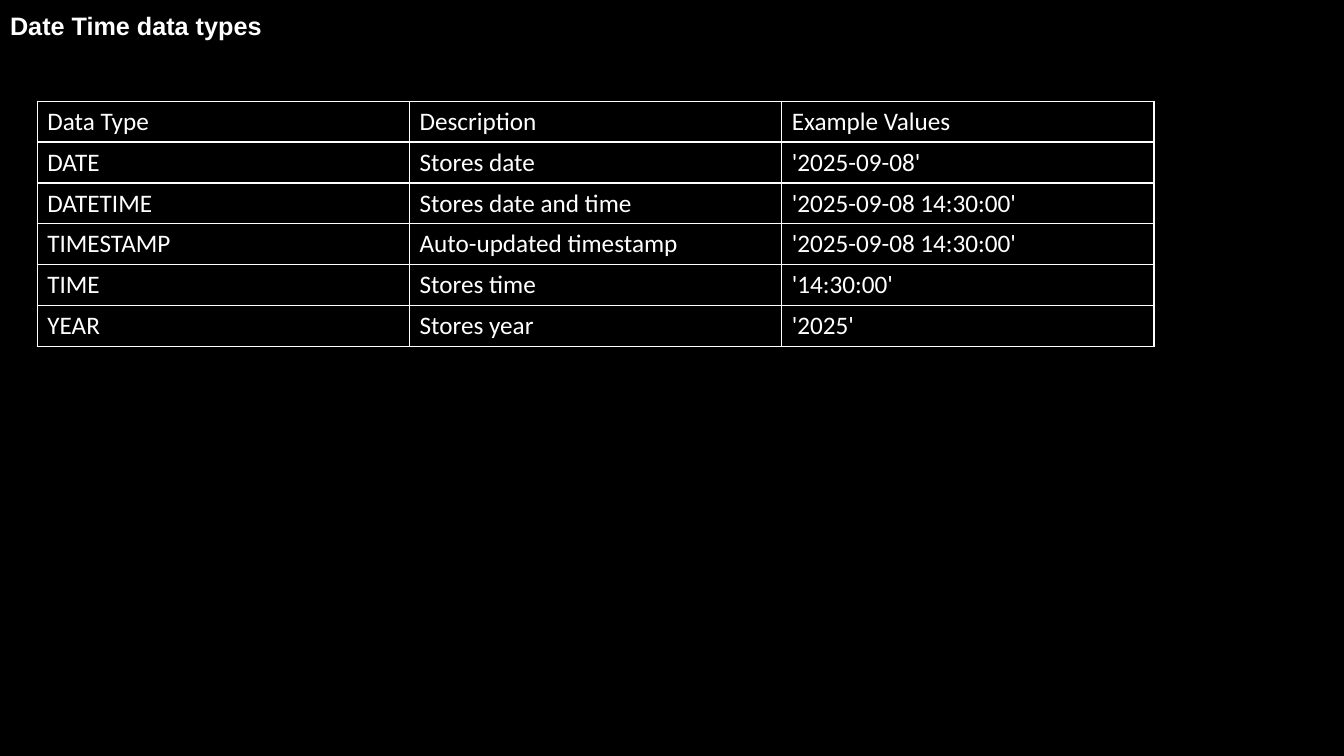
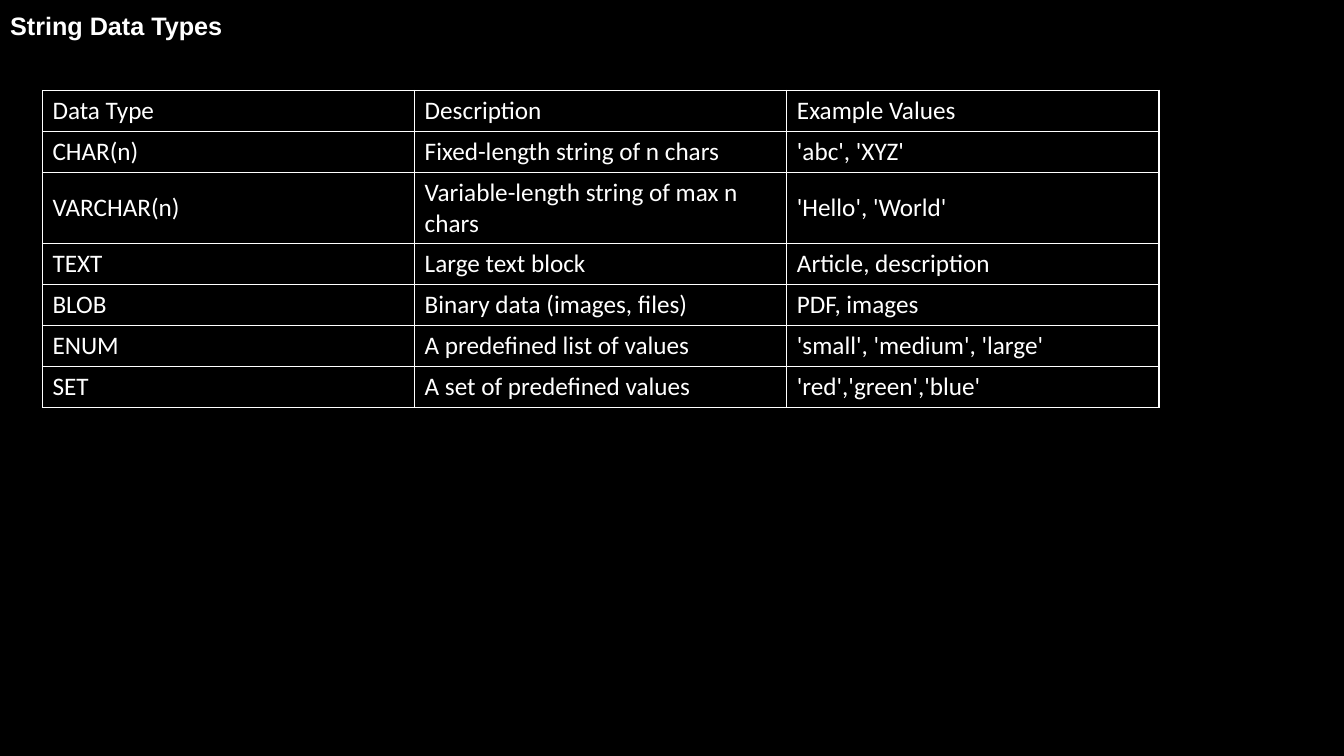
from pptx import Presentation
from pptx.dml.color import RGBColor
from pptx.enum.text import MSO_ANCHOR as Anchor, MSO_AUTO_SIZE as AutoSize, PP_ALIGN as Align
from pptx.oxml.ns import qn
from pptx.util import Cm, Pt
from lxml.etree import SubElement

COLOURS = {"background": "000000", "text": "FFFFFF", "border": "FFFFFF"}
TITLE_FONT, TABLE_FONT = "Arial", "Calibri"
COLUMN_WIDTH, LINE_ROW, WRAPPED_ROW = Cm(9.38), Cm(1.02), Cm(1.78)
HEADINGS = ("Data Type", "Description", "Example Values")

# Title, left and top of the table, and its rows
TOPICS = [
    ("Date Time data types", Cm(0.94), Cm(2.55), [
        ("DATE", "Stores date", "'2025-09-08'"),
        ("DATETIME", "Stores date and time", "'2025-09-08 14:30:00'"),
        ("TIMESTAMP", "Auto-updated timestamp", "'2025-09-08 14:30:00'"),
        ("TIME", "Stores time", "'14:30:00'"),
        ("YEAR", "Stores year", "'2025'"),
    ]),
    ("String Data Types", Cm(1.07), Cm(2.28), [
        ("CHAR(n)", "Fixed-length string of n chars", "'abc', 'XYZ'"),
        ("VARCHAR(n)", "Variable-length string of max n chars", "'Hello', 'World'"),
        ("TEXT", "Large text block", "Article, description"),
        ("BLOB", "Binary data (images, files)", "PDF, images"),
        ("ENUM", "A predefined list of values", "'small', 'medium', 'large'"),
        ("SET", "A set of predefined values", "'red','green','blue'"),
    ]),
]


def add_text(frame, text, font_name, bold=False):
    run = frame.paragraphs[0].add_run()
    run.text = text
    run.font.name, run.font.size, run.font.bold = font_name, Pt(18), bold
    run.font.color.rgb = RGBColor.from_string(COLOURS["text"])


def add_borders(cell):
    properties = cell._tc.get_or_add_tcPr()
    for side in ("a:lnL", "a:lnR", "a:lnT", "a:lnB"):
        line = SubElement(properties, qn(side), w=str(Pt(1)))
        fill = SubElement(line, qn("a:solidFill"))
        SubElement(fill, qn("a:srgbClr"), val=COLOURS["border"])


deck = Presentation()
deck.slide_width, deck.slide_height = Cm(33.87), Cm(19.05)

# Shared background and title place
background = deck.slide_master.background.fill
background.solid()
background.fore_color.rgb = RGBColor.from_string(COLOURS["background"])
title_only = deck.slide_layouts[5]
heading = title_only.placeholders[0]
heading.left, heading.top, heading.width, heading.height = 0, 0, Cm(12), Cm(1.3)

for topic, left, top, data_types in TOPICS:
    slide = deck.slides.add_slide(title_only)

    # Title
    title = slide.shapes.title.text_frame
    title.auto_size = AutoSize.NONE
    title.vertical_anchor = Anchor.MIDDLE
    title.paragraphs[0].alignment = Align.LEFT
    add_text(title, topic, TITLE_FONT, bold=True)

    # Table of data types
    rows = [HEADINGS, *data_types]
    types_table = slide.shapes.add_table(
        len(rows), len(HEADINGS), left, top,
        COLUMN_WIDTH * len(HEADINGS), LINE_ROW * len(rows)).table
    types_table.first_row = types_table.horz_banding = False
    for column in types_table.columns:
        column.width = COLUMN_WIDTH
    for row, texts in zip(types_table.rows, rows):
        row.height = WRAPPED_ROW if len(texts[1]) > 35 else LINE_ROW
        for cell, text in zip(row.cells, texts):
            add_borders(cell)
            cell.fill.background()
            cell.vertical_anchor = Anchor.MIDDLE
            add_text(cell.text_frame, text, TABLE_FONT)

deck.save("out.pptx")
